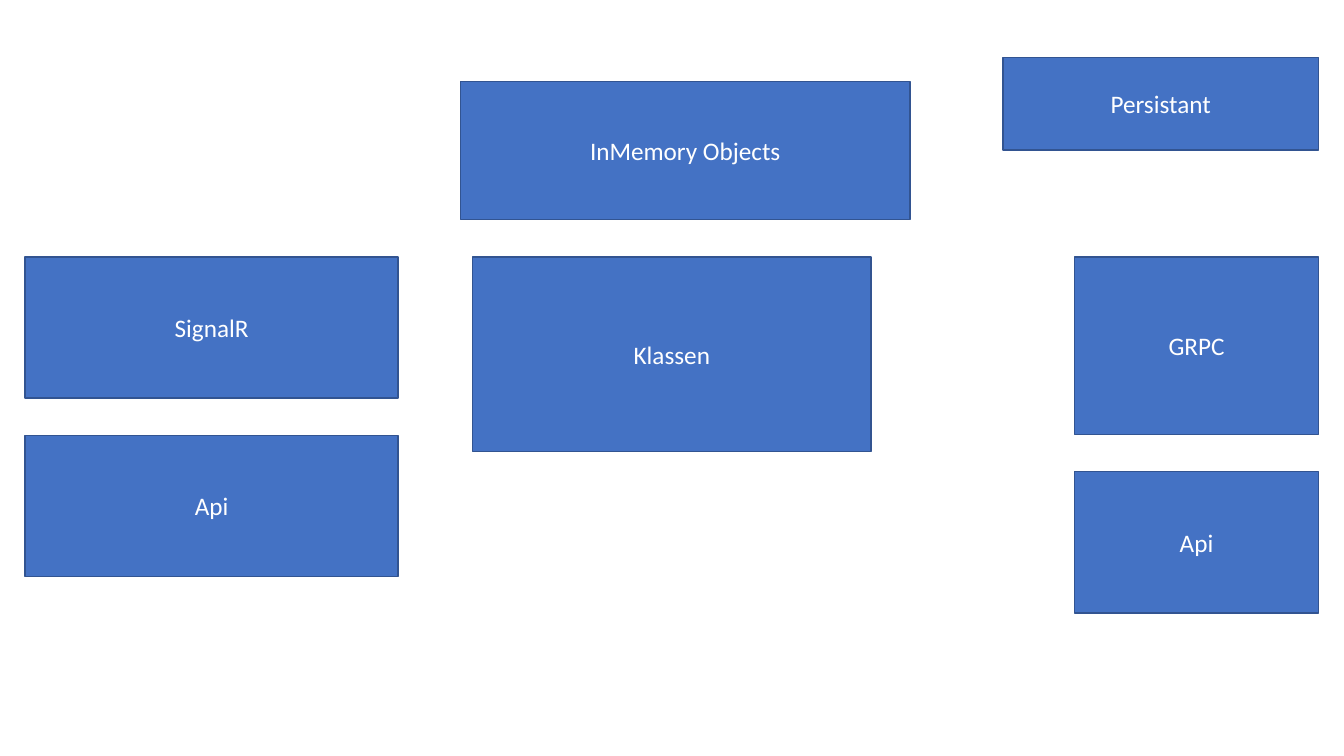
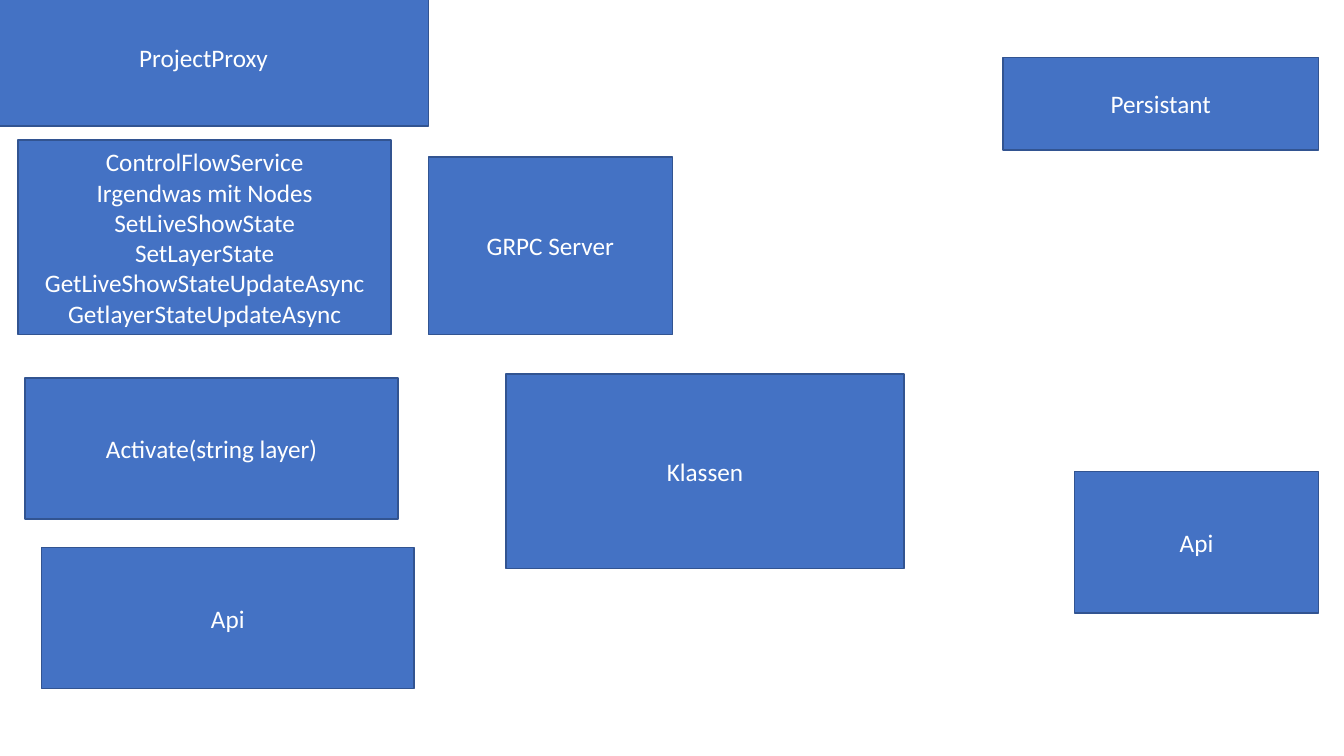
from pptx import Presentation
from pptx.dml.color import RGBColor
from pptx.enum.shapes import MSO_SHAPE
from pptx.enum.text import MSO_ANCHOR, PP_ALIGN
from pptx.util import Pt

FILL, OUTLINE, TEXT = "4472C4", "325491", "FFFFFF"
FONT = "Calibri"

CLIENT = (266.4, 100.8)
CLASSES = (284.4, 139)
SERVER = (174.2, 126.7)
SERVER_API = (174.2, 100.8)
OBJECTS = (321.1, 98.6)
STORAGE = (225.4, 66.2)
SERVICE = (266.4, 139)

RIGHT_EDGE = 941.8
SERVER_LEFT = RIGHT_EDGE - SERVER[0]

shared_boxes = [
    ("Persistant", RIGHT_EDGE - STORAGE[0], 41, STORAGE),
    ("Api", SERVER_LEFT, 337, SERVER_API),
]

overview_boxes = [
    ("SignalR", 18, 183.6, CLIENT),
    ("Klassen", 337.7, 183.6, CLASSES),
    ("GRPC", SERVER_LEFT, 183.6, SERVER),
    ("InMemory Objects", 329, 58.3, OBJECTS),
    ("Api", 18, 311, CLIENT),
]

service_methods = [
    "ControlFlowService",
    "Irgendwas mit Nodes",
    "SetLiveShowState",
    "SetLayerState",
    "GetLiveShowStateUpdateAsync",
    "GetlayerStateUpdateAsync",
]

proxy_boxes = [
    ("Activate(string layer)", 18, 270, CLIENT),
    ("Klassen", 361.4, 267.1, CLASSES),
    ("GRPC Server", 306, 112.3, SERVER),
    ("ProjectProxy", -15.1, -8.6, OBJECTS),
    ("Api", 29.5, 391, CLIENT),
    ("\n".join(service_methods), 13, 100.1, SERVICE),
]


def color(hex_string):
    return RGBColor.from_string(hex_string)


def add_box(slide, text, left, top, size):
    width, height = size
    shape = slide.shapes.add_shape(
        MSO_SHAPE.RECTANGLE, Pt(left), Pt(top), Pt(width), Pt(height)
    )
    shape.shadow.inherit = False
    shape.fill.solid()
    shape.fill.fore_color.rgb = color(FILL)
    shape.line.color.rgb = color(OUTLINE)
    shape.line.width = Pt(1)
    text_frame = shape.text_frame
    text_frame.word_wrap = True
    text_frame.vertical_anchor = MSO_ANCHOR.MIDDLE
    text_frame.text = text
    for paragraph in text_frame.paragraphs:
        paragraph.alignment = PP_ALIGN.CENTER
        paragraph.font.name = FONT
        paragraph.font.size = Pt(18)
        paragraph.font.color.rgb = color(TEXT)


presentation = Presentation()
presentation.slide_width = Pt(960)
presentation.slide_height = Pt(540)
blank_layout = presentation.slide_layouts[6]

for slide_boxes in (overview_boxes, proxy_boxes):
    slide = presentation.slides.add_slide(blank_layout)
    for text, left, top, size in slide_boxes + shared_boxes:
        add_box(slide, text, left, top, size)

presentation.save("out.pptx")
